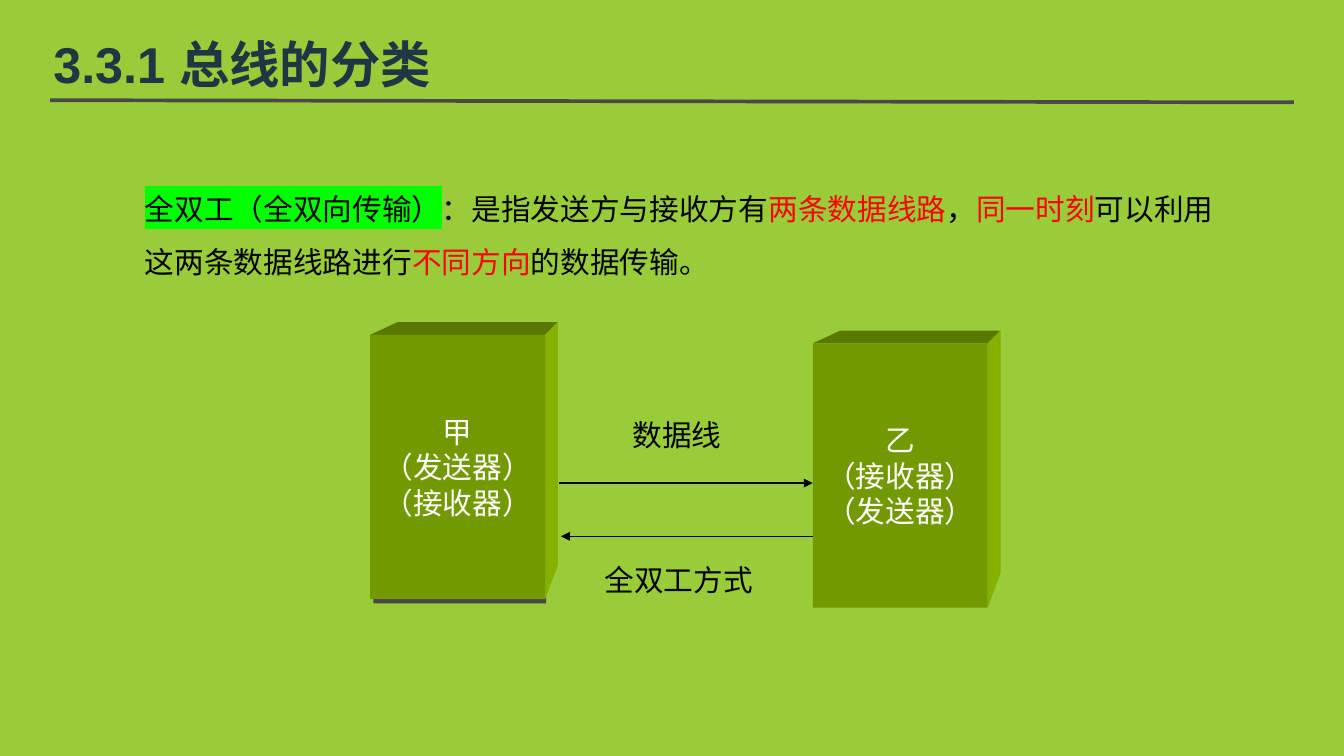
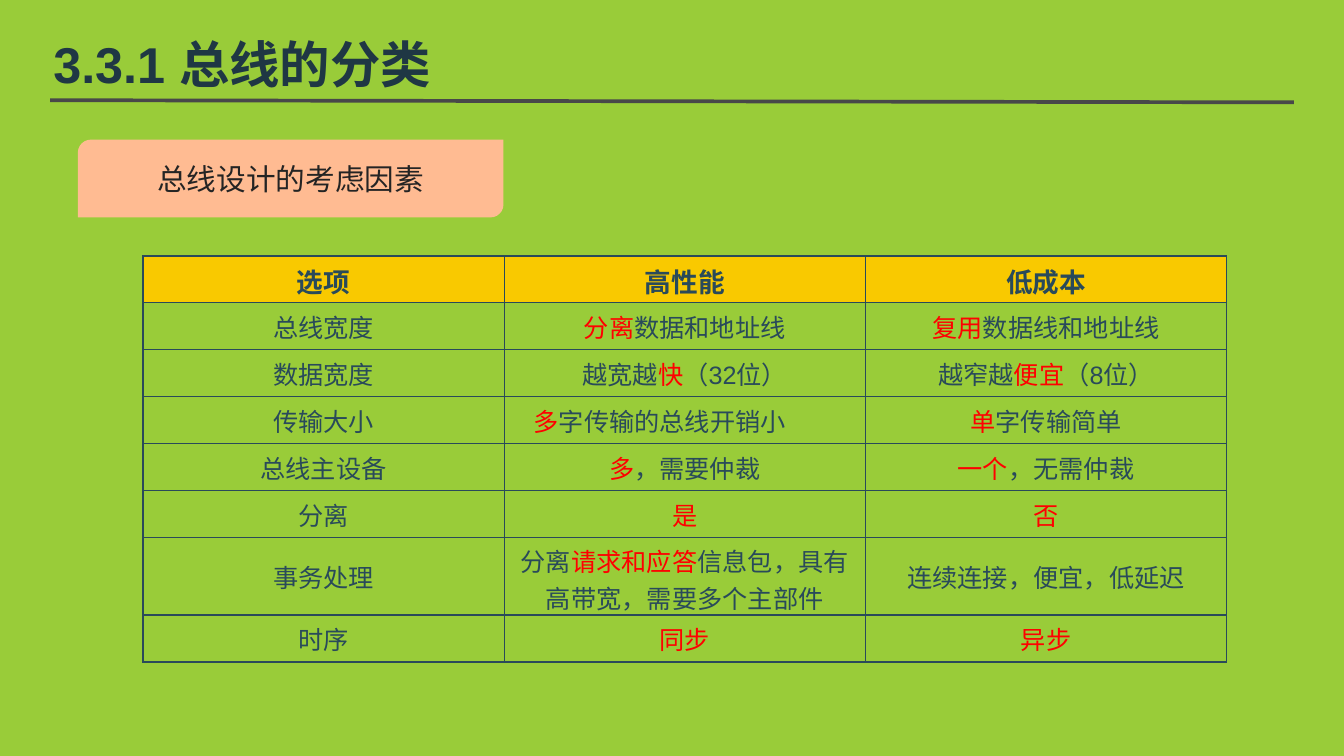
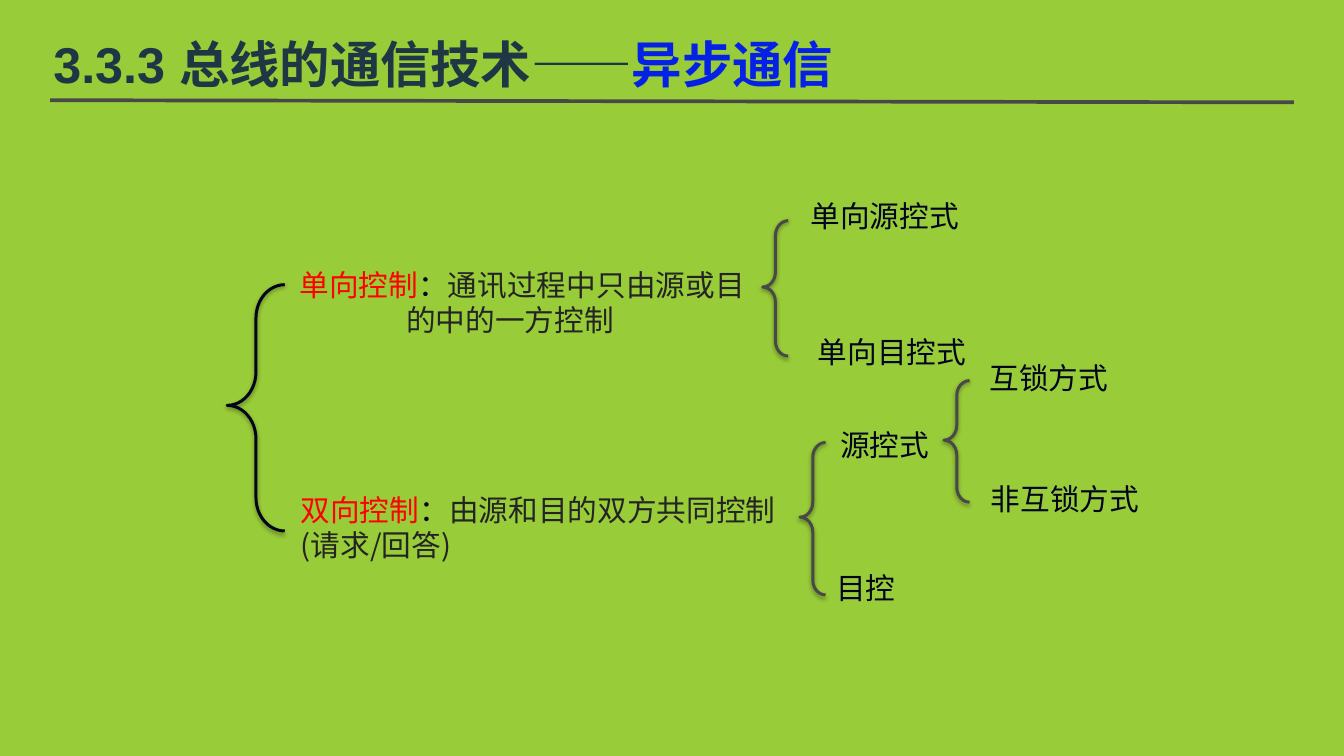
from itertools import cycle

from lxml import etree
from pptx import Presentation
from pptx.dml.color import RGBColor
from pptx.enum.shapes import MSO_CONNECTOR, MSO_SHAPE
from pptx.enum.text import MSO_ANCHOR, PP_ALIGN
from pptx.oxml.ns import qn
from pptx.util import Inches, Pt

GREEN = RGBColor(0x99, 0xCC, 0x39)
NAVY = RGBColor(0x1F, 0x37, 0x44)
BLUE = RGBColor(0x06, 0x21, 0xE6)
GREY = RGBColor(0x48, 0x48, 0x49)
SLATE = RGBColor(0x29, 0x4A, 0x5A)
INK = RGBColor(0x01, 0x04, 0x1D)
CHARCOAL = RGBColor(0x24, 0x24, 0x24)
BLACK = RGBColor(0, 0, 0)
WHITE = RGBColor(0xFF, 0xFF, 0xFF)
RED = RGBColor(0xFF, 0, 0)
GOLD = RGBColor(0xF9, 0xC9, 0x00)
PEACH = RGBColor(0xFF, 0xBB, 0x92)
BLOCK_FRONT = RGBColor(0x73, 0x99, 0x00)
BLOCK_TOP = RGBColor(0x5A, 0x78, 0x00)
BLOCK_SIDE = RGBColor(0x85, 0xB0, 0x00)
LATIN, CJK = "Arial", "Noto Sans CJK SC"

# In all texts "|" passes to the next colour of the paragraph.
CLASSES_TITLE = "3.3.1 总线的分类"
ASYNC_TITLE = "3.3.3 总线的通信技术——|异步通信"

DUPLEX = ("全双工（全双向传输）||：是指发送方与接收方有|两条数据线路|，|同一时刻|"
          "可以利用这两条数据线路进行|不同方向|的数据传输。")
BLOCK_SIZE = (1.64, 2.48)
BLOCKS = [
    (3.47, 3.14, ["甲", "（发送器）", "（接收器）"]),
    (7.62, 3.22, ["乙", "（接收器）", "（发送器）"]),
]
WIRE_LABELS = [("数据线", 5.83, 3.86, 1.05), ("全双工方式", 5.57, 5.22, 1.59)]
WIRES = [((5.24, 4.53), (7.62, 4.53)), ((7.62, 5.03), (5.26, 5.03))]

FACTORS_HEADING = "总线设计的考虑因素"
FACTORS = [
    ("选项", "高性能", "低成本"),
    ("总线宽度", "|分离|数据和地址线", "|复用|数据线和地址线"),
    ("数据宽度", "越宽越|快|（32位）", "越窄越|便宜|（8位）"),
    ("传输大小", "|多|字传输的总线开销小", "|单|字传输简单"),
    ("总线主设备", "|多|，需要仲裁", "|一个|，无需仲裁"),
    ("分离", "|是", "|否"),
    ("事务处理", "分离|请求和应答|信息包，具有高带宽，需要多个主部件", "连续连接，便宜，低延迟"),
    ("时序", "|同步", "|异步"),
]
ROW_HEIGHT, TALL_ROW, TALL_ROW_HEIGHT = 0.44, 6, 0.73
LEFT_SHIFTED_CELL = (3, 1)

# first line, second line, indent of the second line, left, top, width
CONTROLS = [
    ("单向控制|：|通讯过程中只由源或目", "的中的一方控制", 1, 2.71, 2.45, 5.44),
    ("双向控制|：|由源和目的双方共同控制", "(请求/回答)", 0, 2.72, 4.56, 6.09),
]
MODES = [
    ("单向源控式", 7.5, 1.81), ("单向目控式", 7.57, 3.08),
    ("源控式", 7.78, 3.95), ("目控", 7.74, 5.3),
    ("互锁方式", 9.18, 3.33), ("非互锁方式", 9.19, 4.46),
]
BRACES = [
    (2.13, 2.67, 0.54, 2.31, INK), (7.15, 2.07, 0.24, 1.27, GREY),
    (7.5, 4.15, 0.24, 1.43, GREY), (8.85, 3.57, 0.24, 1.14, GREY),
]


def inches(*lengths):
    return [Inches(length) for length in lengths]


def write(paragraph, text, size, colours, latin=CJK, bold=False, align=None):
    """Fill a paragraph; the parts between "|" take the colours in turn."""
    font = paragraph.font
    font.size, font.bold, font.name = Pt(size), bold, latin
    font.color.rgb = colours[0]
    latin_element = font._element.find(qn("a:latin"))
    east_asian = etree.Element(qn("a:ea"), typeface=CJK)
    latin_element.addnext(east_asian)
    if align is not None:
        paragraph.alignment = align
    for part, colour in zip(text.split("|"), cycle(colours)):
        if part:
            run = paragraph.add_run()
            run.text = part
            if colour != colours[0]:
                run.font.color.rgb = colour


def add_text(slide, box, lines, size=20, **style):
    """Add a wrapped text box; lines are (text, colours) pairs."""
    frame = slide.shapes.add_textbox(*inches(*box)).text_frame
    frame.word_wrap = True
    write_lines(frame, lines, size, **style)
    return frame


def write_lines(frame, lines, size=20, **style):
    for index, (text, colours) in enumerate(lines):
        paragraph = frame.add_paragraph() if index else frame.paragraphs[0]
        write(paragraph, text, size, colours, **style)


def paint(shape, fill):
    shape.shadow.inherit = False
    shape.fill.solid()
    shape.fill.fore_color.rgb = fill
    shape.line.fill.background()


def add_line(slide, start, end, colour, width, arrow=False):
    line = slide.shapes.add_connector(
        MSO_CONNECTOR.STRAIGHT, *inches(*start, *end))
    line.line.color.rgb = colour
    line.line.width = Pt(width)
    if arrow:
        etree.SubElement(line.line._get_or_add_ln(), qn("a:tailEnd"), type="triangle")
    etree.SubElement(line._element.spPr, qn("a:effectLst"))


def add_titled_slide(deck, title):
    slide = deck.slides.add_slide(deck.slide_layouts[6])
    frame = add_text(slide, (0.5, 0.34, 7.49, 0.51), [(title, (NAVY, BLUE))],
                     size=34, latin=LATIN, bold=True)
    frame.vertical_anchor = MSO_ANCHOR.MIDDLE
    frame.margin_left = frame.margin_right = 0
    frame.margin_top = frame.margin_bottom = 0
    add_line(slide, (0.47, 0.94), (12.13, 0.96), GREY, 2.5)
    return slide


def add_face(slide, corners, fill):
    points = [inches(*corner) for corner in corners]
    builder = slide.shapes.build_freeform(*points[0])
    builder.add_line_segments(points[1:], close=True)
    paint(builder.convert_to_shape(), fill)


def add_block(slide, left, top, lines):
    """Add a box seen from the upper right, with its text on the front."""
    width, height = BLOCK_SIZE
    right, bottom, depth = left + width, top + height, 0.12
    back_right, back_top = right + depth, top - depth
    add_face(slide, [(left, top), (left + 0.26, back_top),
                     (back_right, back_top), (right, top)], BLOCK_TOP)
    add_face(slide, [(right, top), (back_right, back_top),
                     (back_right, bottom - 0.32), (right, bottom)], BLOCK_SIDE)
    front = slide.shapes.add_shape(
        MSO_SHAPE.RECTANGLE, *inches(left, top, width, height))
    paint(front, BLOCK_FRONT)
    front.text_frame.word_wrap = False
    front.text_frame.vertical_anchor = MSO_ANCHOR.MIDDLE
    write_lines(front.text_frame, [(line, (WHITE,)) for line in lines],
                align=PP_ALIGN.CENTER)


def build_duplex_slide(deck):
    slide = add_titled_slide(deck, CLASSES_TITLE)
    definition = add_text(slide, (1.26, 1.57, 10.45, 1.11),
                          [(DUPLEX, (BLACK, RED))]).paragraphs[0]
    definition.line_spacing = 1.5
    term = definition.runs[0]
    highlight = etree.SubElement(term.font._element, qn("a:highlight"))
    etree.SubElement(highlight, qn("a:srgbClr"), val="00FF00")

    base = slide.shapes.add_shape(MSO_SHAPE.RECTANGLE, *inches(3.5, 3.16, 1.62, 2.5))
    paint(base, GREY)
    for block in BLOCKS:
        add_block(slide, *block)
    for start, end in WIRES:
        add_line(slide, start, end, BLACK, 0.75, arrow=True)
    for label, left, top, width in WIRE_LABELS:
        add_text(slide, (left, top, width, 0.44), [(label, (BLACK,))])


def add_borders(cell):
    properties = cell._tc.get_or_add_tcPr()
    for index, side in enumerate(("lnL", "lnR", "lnT", "lnB")):
        border = etree.Element(qn(f"a:{side}"), w=str(Pt(1)))
        fill = etree.SubElement(border, qn("a:solidFill"))
        etree.SubElement(fill, qn("a:srgbClr"), val=str(SLATE))
        properties.insert(index, border)


def build_factors_slide(deck):
    slide = add_titled_slide(deck, CLASSES_TITLE)
    heading = slide.shapes.add_shape(
        MSO_SHAPE.ROUND_2_DIAG_RECTANGLE, *inches(0.73, 1.31, 3.99, 0.73))
    paint(heading, PEACH)
    heading.text_frame.vertical_anchor = MSO_ANCHOR.MIDDLE
    write_lines(heading.text_frame, [(FACTORS_HEADING, (CHARCOAL,))],
                align=PP_ALIGN.CENTER)

    table = slide.shapes.add_table(
        len(FACTORS), len(FACTORS[0]), *inches(1.34, 2.4, 10.16, 3.81)).table
    table.first_row = table.horz_banding = False
    for row, texts in enumerate(FACTORS):
        table.rows[row].height = Inches(
            TALL_ROW_HEIGHT if row == TALL_ROW else ROW_HEIGHT)
        for column, text in enumerate(texts):
            cell = table.cell(row, column)
            cell.vertical_anchor = MSO_ANCHOR.MIDDLE
            if row == 0:
                cell.fill.solid()
                cell.fill.fore_color.rgb = GOLD
            else:
                cell.fill.background()
            add_borders(cell)
            write(cell.text_frame.paragraphs[0], text, 17 if row else 18,
                  (SLATE, RED), LATIN, bold=row == 0, align=PP_ALIGN.CENTER)
    table.cell(*LEFT_SHIFTED_CELL).margin_right = Inches(0.57)


def add_brace(slide, left, top, width, height, colour):
    brace = slide.shapes.add_shape(
        MSO_SHAPE.LEFT_BRACE, *inches(left, top, width, height))
    brace.adjustments[0], brace.adjustments[1] = 0.58, 0.49
    brace.fill.background()
    brace.line.color.rgb = colour
    brace.line.width = Pt(2)
    brace.shadow.inherit = False
    effects = brace._element.spPr.find(qn("a:effectLst"))
    shadow = etree.SubElement(effects, qn("a:outerShdw"), blurRad=str(Pt(3.1)),
                              dist=str(Pt(1.6)), dir="5400000", rotWithShape="0")
    shade = etree.SubElement(shadow, qn("a:srgbClr"), val=str(BLACK))
    etree.SubElement(shade, qn("a:alpha"), val="38000")


def build_async_slide(deck):
    slide = add_titled_slide(deck, ASYNC_TITLE)
    for first, second, indent, left, top, width in CONTROLS:
        frame = add_text(slide, (left, top, width, 0.77),
                         [(first, (RED, INK, CHARCOAL)), (second, (CHARCOAL,))])
        frame.paragraphs[1]._p.get_or_add_pPr().set("marL", str(Inches(indent)))
    for mode, left, top in MODES:
        add_text(slide, (left, top, 1.84, 0.44), [(mode, (INK,))])
    for brace in BRACES:
        add_brace(slide, *brace)


def main():
    deck = Presentation()
    deck.slide_width, deck.slide_height = inches(12.6, 7.09)
    background = deck.slide_master.background.fill
    background.solid()
    background.fore_color.rgb = GREEN
    build_duplex_slide(deck)
    build_factors_slide(deck)
    build_async_slide(deck)
    deck.save("out.pptx")


if __name__ == "__main__":
    main()
